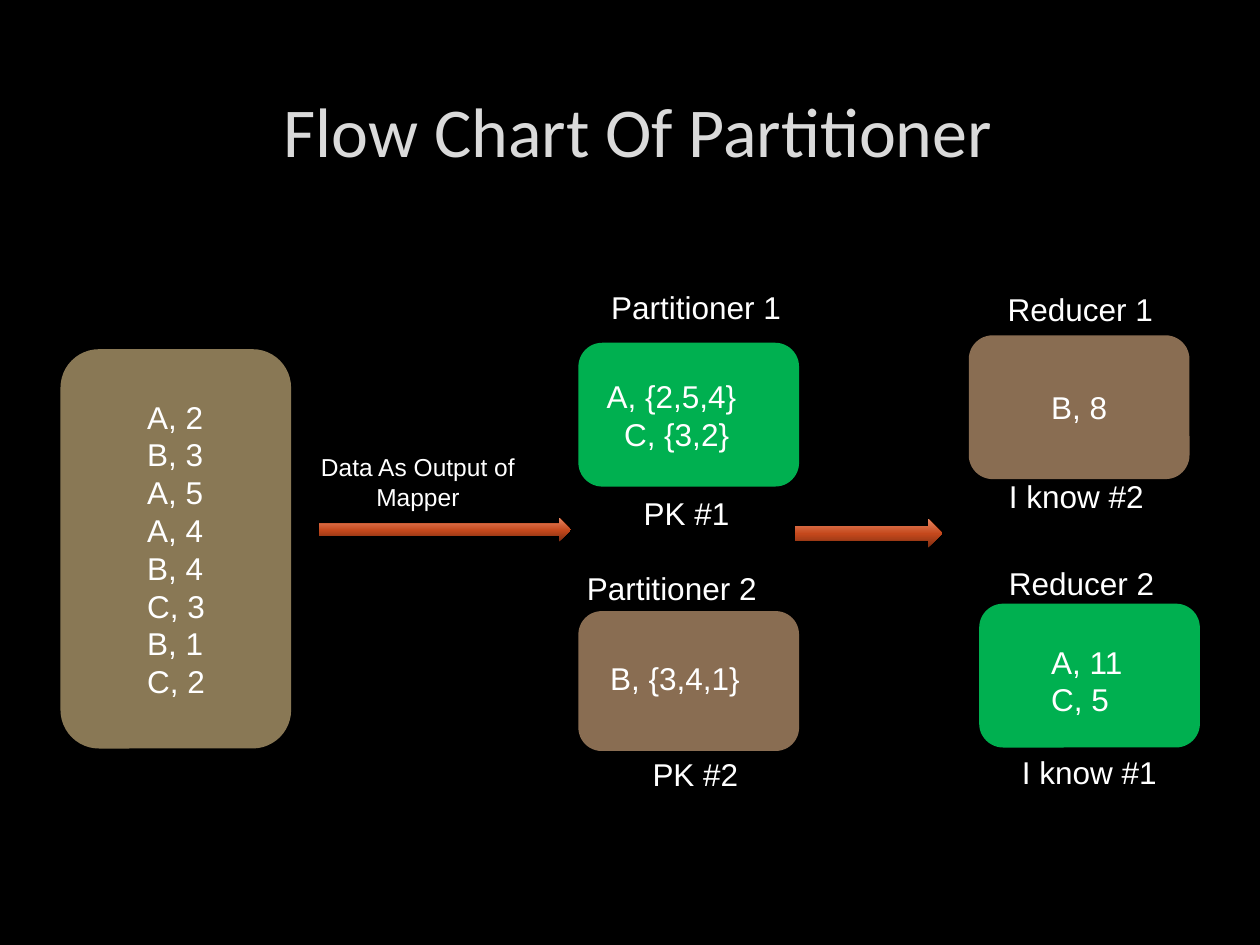
from copy import deepcopy
from dataclasses import dataclass

from pptx import Presentation
from pptx import util as u
from pptx.dml import color
from pptx.enum import shapes, text

GREEN, BROWN, OLIVE, WHITE = "00B050", "896D52", "897855", "FFFFFF"
ARROW_STOPS = ((0, "7E2E12"), (0.48, "C4481C"), (1, "E98764"))
CENTER, LEFT = text.PP_ALIGN.CENTER, text.PP_ALIGN.LEFT
BOX_WIDTH = 4.45


@dataclass
class Box:
    left: float
    top: float
    fill: str
    width: float = BOX_WIDTH
    height: float = 2.9
    lines: tuple = ()
    align: int = LEFT
    indents: tuple = (0,)


@dataclass
class Label:
    left: float
    top: float
    lines: tuple
    width: float = BOX_WIDTH
    height: float = 1.02
    align: int = CENTER
    indents: tuple = (0,)
    size: int = 18


@dataclass
class Arrow:
    left: float
    top: float
    width: float
    height: float


BOXES = (
    Box(19.74, 12.17, GREEN),
    Box(19.53, 6.76, BROWN, lines=("B, 8",), align=CENTER),
    Box(1.22, 7.04, OLIVE, 4.65, 8.05,
        ("A, 2", "B, 3", "A, 5", "A, 4", "B, 4", "C, 3", "B, 1", "C, 2"),
        indents=(1.27,) * 8),
    Box(11.66, 6.91, GREEN, lines=("A, {2,5,4}", "C, {3,2}"), indents=(0.18, 0.53)),
    Box(11.66, 12.32, BROWN, height=2.82),
)
ARROWS = (Arrow(6.43, 10.44, 5.08, 0.48), Arrow(16.03, 10.46, 2.97, 0.58))
LABELS = (
    Label(11.81, 5.69, ("Partitioner 1",)),
    Label(11.38, 13.16, ("B, {3,4,1}",)),
    Label(11.58, 11.35, ("Partitioner 2",), align=LEFT),
    Label(19.38, 5.72, ("Reducer 1",), indents=(0.35,)),
    Label(19.74, 11.25, ("Reducer 2",), align=LEFT, indents=(0.35,)),
    Label(20.09, 9.5, ("I know #2",), 4.01, align=LEFT),
    Label(20.09, 12.83, ("A, 11", "C, 5"), 3.61, 1.8, LEFT, (0.85, 0.85)),
    Label(20.35, 15.06, ("I know #1",), 3.71, align=LEFT),
    Label(6.2, 8.99, ("Data As Output of Mapper",), height=1.45, size=14),
    Label(12.34, 9.83, ("PK #1",), 3),
    Label(12.52, 15.09, ("PK #2",), 3),
)


def rgb(value: str) -> color.RGBColor:
    return color.RGBColor.from_string(value)


def apply(target, formats: dict) -> None:
    for attribute, value in formats.items():
        setattr(target, attribute, value)


def bounds(item) -> tuple:
    return tuple(u.Cm(n) for n in (item.left, item.top, item.width, item.height))


def write(frame, lines: tuple, align: int, indents: tuple, size: int = 18,
          font: str = "Arial", ink: str = WHITE) -> None:
    frame.text = "\n".join(lines)
    for paragraph, indent in zip(frame.paragraphs, indents):
        paragraph.alignment = align
        properties = paragraph._p.get_or_add_pPr()
        properties.set("marL", str(u.Cm(indent)))
        properties.set("indent", "0")
        for run in paragraph.runs:
            apply(run.font, {"name": font, "size": u.Pt(size)})
            run.font.color.rgb = rgb(ink)


def add_preset(slide, preset: int, item):
    preset_shape = slide.shapes.add_shape(preset, *bounds(item))
    preset_shape.shadow.inherit = False
    preset_shape.line.fill.background()
    return preset_shape


def draw_box(slide, box: Box) -> None:
    panel = add_preset(slide, shapes.MSO_SHAPE.ROUNDED_RECTANGLE, box)
    panel.fill.solid()
    panel.fill.fore_color.rgb = rgb(box.fill)
    if box.lines:
        panel.text_frame.vertical_anchor = text.MSO_ANCHOR.MIDDLE
        write(panel.text_frame, box.lines, box.align, box.indents)


def draw_arrow(slide, arrow: Arrow) -> None:
    flow = add_preset(slide, shapes.MSO_SHAPE.RIGHT_ARROW, arrow)
    flow.fill.gradient()
    flow.fill.gradient_angle = 90
    first = flow._element.spPr.xpath(".//a:gs")[0]
    first.addnext(deepcopy(first))
    for stop, (position, shade) in zip(flow.fill.gradient_stops, ARROW_STOPS):
        stop.position = position
        stop.color.rgb = rgb(shade)


def draw_label(slide, label: Label) -> None:
    frame = slide.shapes.add_textbox(*bounds(label)).text_frame
    apply(frame, {"word_wrap": True, "auto_size": text.MSO_AUTO_SIZE.SHAPE_TO_FIT_TEXT})
    write(frame, label.lines, label.align, label.indents, label.size)


def draw_title(slide) -> None:
    title = slide.shapes.title
    apply(title, {"left": u.Cm(5.38), "top": u.Cm(1.63),
                  "width": u.Cm(14.96), "height": u.Cm(1.96)})
    apply(title.text_frame, {"word_wrap": False,
                             "vertical_anchor": text.MSO_ANCHOR.TOP,
                             "auto_size": text.MSO_AUTO_SIZE.SHAPE_TO_FIT_TEXT})
    write(title.text_frame, ("Flow Chart Of Partitioner",), CENTER, (0,),
          40, "Calibri", "DADADA")


def main() -> None:
    deck = Presentation()
    apply(deck, {"slide_width": u.Cm(25.4), "slide_height": u.Cm(19.05)})
    slide = deck.slides.add_slide(deck.slide_layouts[5])
    slide.background.fill.solid()
    slide.background.fill.fore_color.rgb = rgb("000000")
    draw_title(slide)
    for draw, items in ((draw_box, BOXES), (draw_arrow, ARROWS), (draw_label, LABELS)):
        for item in items:
            draw(slide, item)
    deck.save("out.pptx")


if __name__ == "__main__":
    main()
